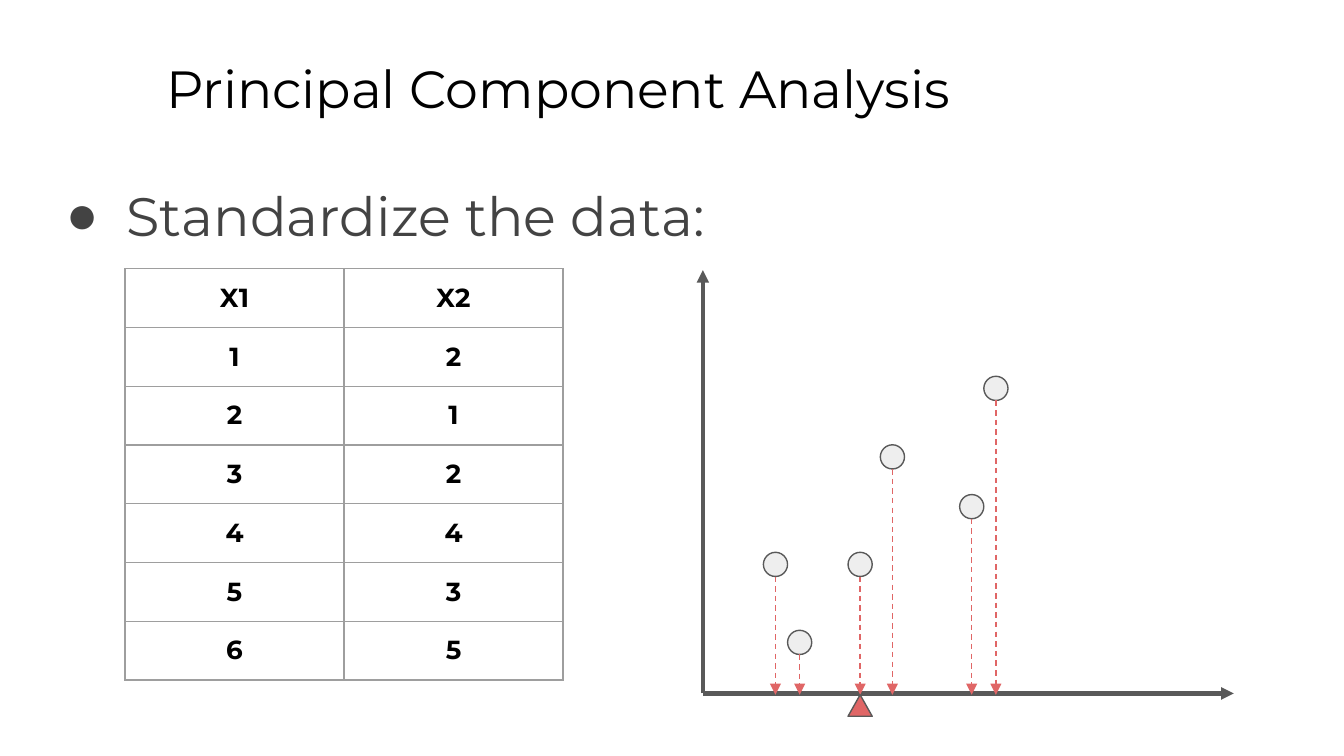
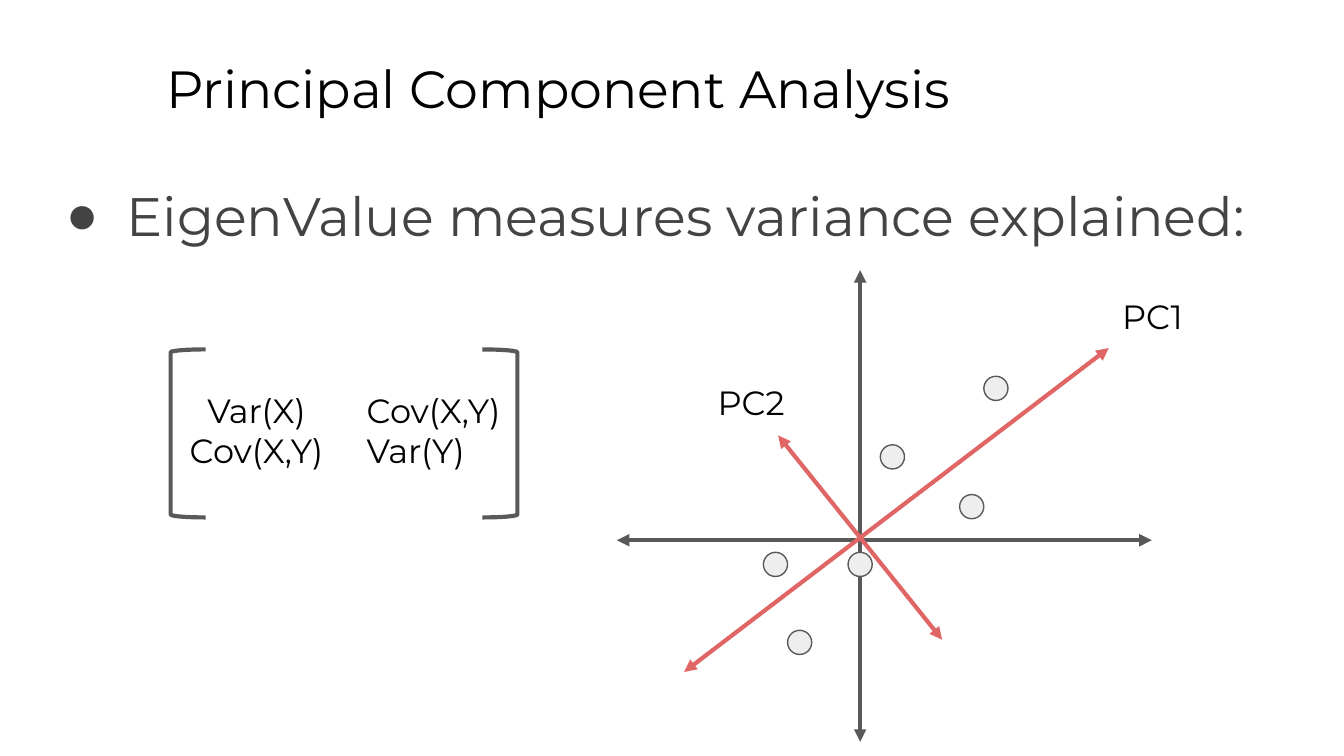
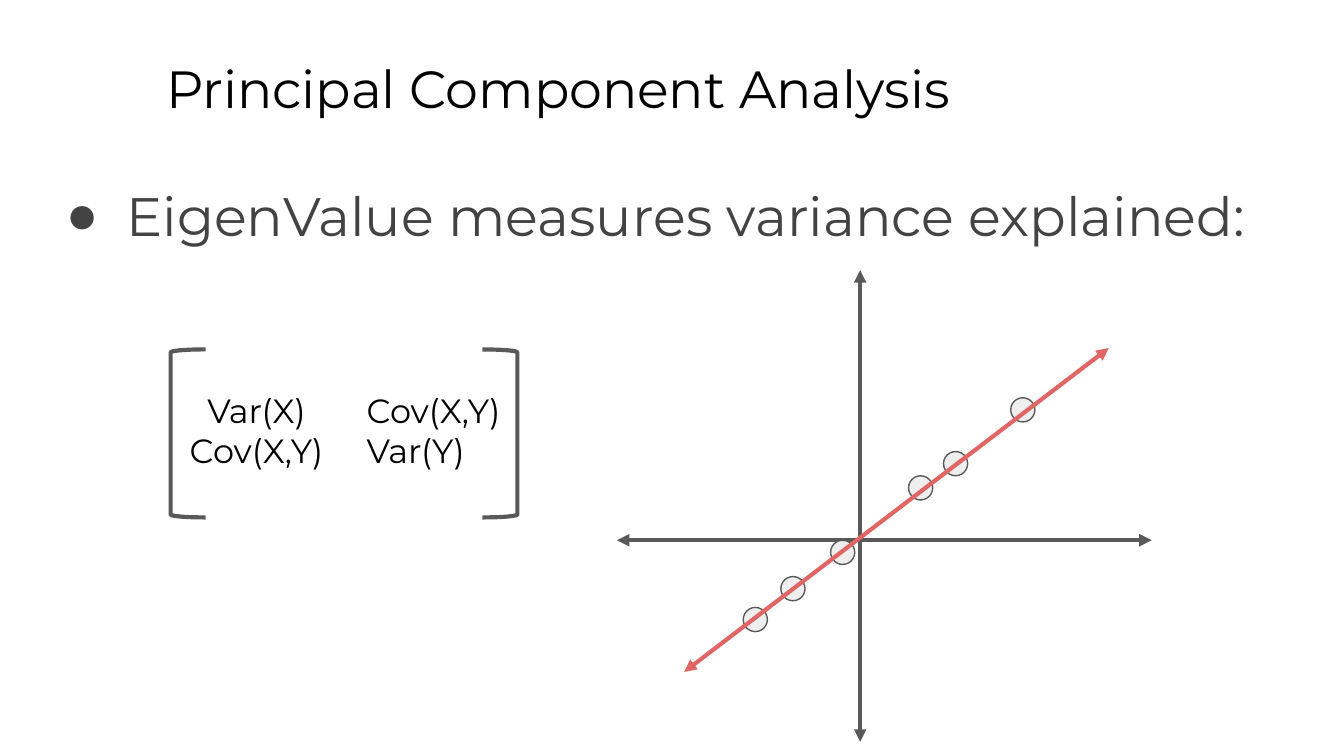
from lxml import etree
from pptx import Presentation
from pptx.dml.color import RGBColor
from pptx.enum.dml import MSO_LINE
from pptx.enum.shapes import MSO_CONNECTOR, MSO_SHAPE
from pptx.enum.text import MSO_ANCHOR, MSO_AUTO_SIZE, PP_ALIGN
from pptx.oxml.ns import qn
from pptx.util import Inches, Pt

FONT = "Montserrat"
BLACK = RGBColor(0x00, 0x00, 0x00)
CHARCOAL = RGBColor(0x43, 0x43, 0x43)
AXIS_GRAY = RGBColor(0x59, 0x59, 0x59)
DOT_GRAY = RGBColor(0xEE, 0xEE, 0xEE)
GRID_GRAY = RGBColor(0x9E, 0x9E, 0x9E)
RED = RGBColor(0xE0, 0x66, 0x66)

LEFT, CENTER = PP_ALIGN.LEFT, PP_ALIGN.CENTER
TOP = MSO_ANCHOR.TOP
NO_FIT = MSO_AUTO_SIZE.NONE
STRAIGHT = MSO_CONNECTOR.STRAIGHT
OVAL, TRIANGLE = MSO_SHAPE.OVAL, MSO_SHAPE.ISOSCELES_TRIANGLE
BRACKETS = (MSO_SHAPE.LEFT_BRACKET, MSO_SHAPE.RIGHT_BRACKET)
DASH = MSO_LINE.DASH

DOT = 0.18
INSET = Inches(0.1)


def write(frame, text, size=18, color=BLACK, bold=False, align=LEFT):
    """Fill a text frame, one paragraph for each line of text."""
    frame.word_wrap = True
    frame.auto_size = NO_FIT
    frame.vertical_anchor = TOP
    frame.margin_left = frame.margin_right = INSET
    frame.margin_top = frame.margin_bottom = INSET
    frame.text = text
    for paragraph in frame.paragraphs:
        paragraph.alignment = align
        paragraph.line_spacing = 1.0
        paragraph.space_before = Pt(0)
        font = paragraph.runs[0].font
        font.name, font.size, font.bold = FONT, Pt(size), bold
        font.color.rgb = color


def draw_arrow(slide, start, end, color, width=2.25, both=False, dash=None):
    arrow = slide.shapes.add_connector(STRAIGHT, *map(Inches, start + end))
    arrow.line.color.rgb = color
    arrow.line.width = Pt(width)
    if dash:
        arrow.line.dash_style = dash
    properties = arrow._element.spPr
    outline = properties.find(qn("a:ln"))
    for tip in ("a:headEnd", "a:tailEnd") if both else ("a:tailEnd",):
        etree.SubElement(outline, qn(tip), type="triangle")
    etree.SubElement(properties, qn("a:effectLst"))


prs = Presentation()
prs.slide_width = Inches(10)
prs.slide_height = prs.slide_width * 9 // 16

STANDARDIZE = "Standardize the data:"
EIGENVALUE = "EigenValue measures variance explained:"
corner_axes = [((5.23, 5.16), (5.23, 2.01)), ((5.23, 5.16), (9.18, 5.16))]
cross_axes = [((6.4, 5.52), (6.4, 2.01)), ((4.59, 4.02), (8.57, 4.02))]
# Dot centres
observations = [(5.77, 4.2), (6.64, 3.4), (7.23, 3.77),
                (6.4, 4.2), (5.95, 4.78), (7.41, 2.89)]
projections = [(5.9, 4.38), (6.85, 3.63), (7.11, 3.45),
               (6.27, 4.11), (5.62, 4.61), (7.61, 3.05)]

# Heading, bullet, axes and dots of every slide
slides = []
for topic, axes, dots in [(STANDARDIZE, corner_axes, observations),
                          (EIGENVALUE, cross_axes, observations),
                          (EIGENVALUE, cross_axes, projections)]:
    slide = prs.slides.add_slide(prs.slide_layouts[1])
    slides.append(slide)

    heading, bullet = slide.placeholders
    heading.left, heading.top = Inches(1.14), Inches(0.32)
    heading.width, heading.height = Inches(8.52), Inches(0.63)
    write(heading.text_frame, "Principal Component Analysis", size=28)

    bullet.left, bullet.top = Inches(0.34), Inches(1.26)
    bullet.width, bullet.height = Inches(9.5), Inches(3.74)
    write(bullet.text_frame, topic, size=29, color=CHARCOAL)
    indent = bullet.text_frame.paragraphs[0]._p.get_or_add_pPr()
    indent.set("marL", str(Inches(0.5)))
    indent.set("indent", str(Inches(-0.45)))
    bullet_color = etree.SubElement(indent, qn("a:buClr"))
    etree.SubElement(bullet_color, qn("a:srgbClr"), val=str(CHARCOAL))
    etree.SubElement(indent, qn("a:buChar"), char="●")

    for start, end in axes:
        draw_arrow(slide, start, end, AXIS_GRAY, both=axes is cross_axes)

    for x, y in dots:
        dot = slide.shapes.add_shape(OVAL, Inches(x - DOT / 2), Inches(y - DOT / 2),
                                     Inches(DOT), Inches(DOT))
        dot.shadow.inherit = False
        dot.fill.solid()
        dot.fill.fore_color.rgb = DOT_GRAY
        dot.line.color.rgb = AXIS_GRAY
        dot.line.width = Pt(0.75)

standardize, components, projected = slides

# Data table
data = [("X1", "X2"), (1, 2), (2, 1), (3, 2), (4, 4), (5, 3), (6, 5)]
table = standardize.shapes.add_table(len(data), 2, Inches(0.93), Inches(2),
                                     Inches(3.26), Inches(0.42 * len(data))).table
table.first_row = table.horz_banding = False
for row, values in enumerate(data):
    for column, value in enumerate(values):
        cell = table.cell(row, column)
        write(cell.text_frame, str(value), size=14, bold=True, align=CENTER)
        cell.margin_left = cell.margin_right = INSET
        cell.margin_top = cell.margin_bottom = INSET
        cell.fill.background()
        borders = cell._tc.get_or_add_tcPr()
        for place, side in enumerate(("a:lnL", "a:lnR", "a:lnT", "a:lnB")):
            border = etree.Element(qn(side), w=str(Pt(0.75)))
            paint = etree.SubElement(border, qn("a:solidFill"))
            etree.SubElement(paint, qn("a:srgbClr"), val=str(GRID_GRAY))
            borders.insert(place, border)

# Each observation drops onto the X1 axis; the triangle marks the mean
for x, y in observations:
    draw_arrow(standardize, (x, y + DOT / 2), (x, 5.17), RED, width=0.75, dash=DASH)
mean = standardize.shapes.add_shape(TRIANGLE, Inches(6.31), Inches(5.17),
                                    Inches(DOT), Inches(0.16))
mean.shadow.inherit = False
mean.fill.solid()
mean.fill.fore_color.rgb = RED
mean.line.color.rgb = AXIS_GRAY
mean.line.width = Pt(0.75)

# Covariance matrix and first component
for slide in (components, projected):
    matrix = slide.shapes.add_textbox(Inches(1.19), Inches(2.8),
                                      Inches(2.88), Inches(0.81))
    write(matrix.text_frame, "\tVar(X)\tCov(X,Y)\n\tCov(X,Y)\tVar(Y)")
    for paragraph in matrix.text_frame.paragraphs:
        stops = etree.SubElement(paragraph._p.get_or_add_pPr(), qn("a:tabLst"))
        for position, alignment in ((0.62, "ctr"), (1.44, "l")):
            etree.SubElement(stops, qn("a:tab"), pos=str(Inches(position)),
                             algn=alignment)

    for kind, x in zip(BRACKETS, (1.27, 3.59)):
        bracket = slide.shapes.add_shape(kind, Inches(x), Inches(2.6),
                                         Inches(0.26), Inches(1.25))
        bracket.shadow.inherit = False
        bracket.fill.background()
        bracket.line.color.rgb = AXIS_GRAY
        bracket.line.width = Pt(2.25)

    draw_arrow(slide, (5.09, 5.0), (8.25, 2.59), RED, both=True)

# Second component and the names of both
draw_arrow(components, (7.01, 4.76), (5.79, 3.24), RED, both=True)
for name, x, y, width in (("PC1", 8.25, 2.1, 0.68), ("PC2", 5.24, 2.74, 0.79)):
    label = components.shapes.add_textbox(Inches(x), Inches(y),
                                          Inches(width), Inches(0.5))
    write(label.text_frame, name)

prs.save("out.pptx")
